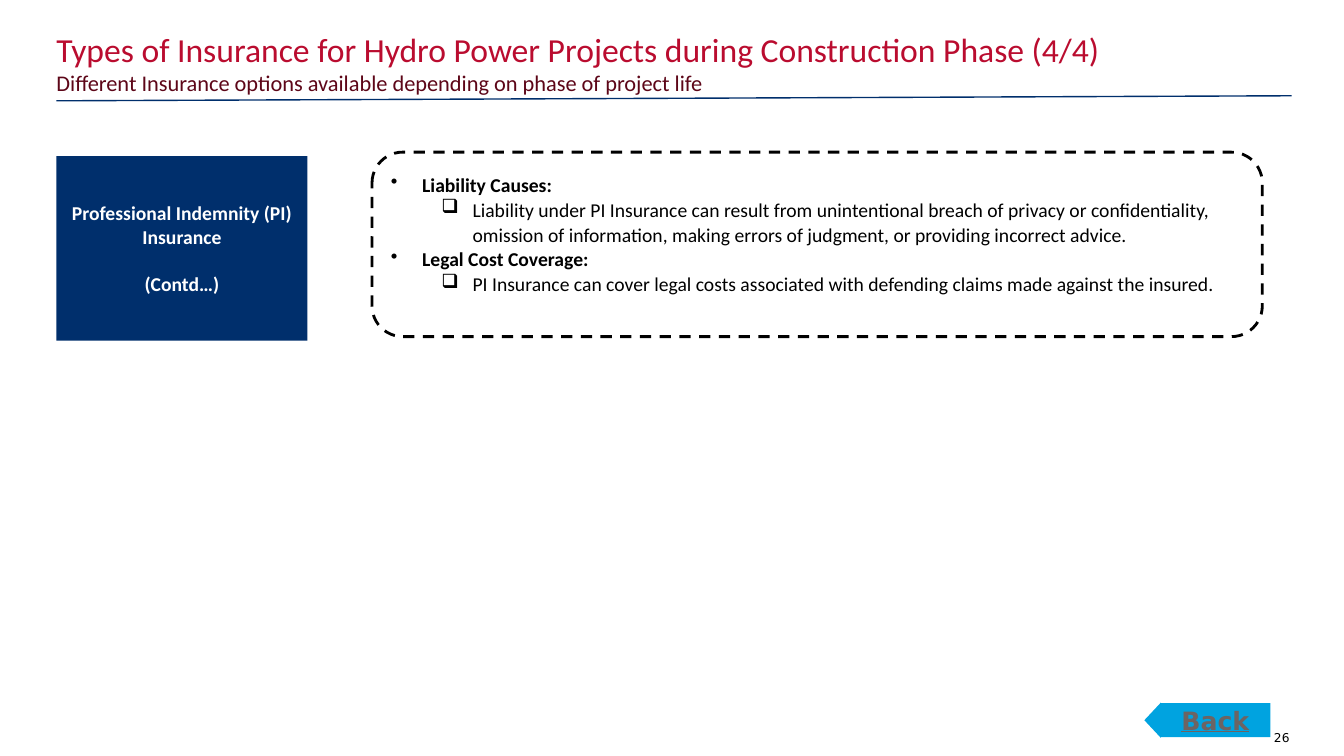
from lxml import etree
from pptx import Presentation
from pptx.dml.color import RGBColor
from pptx.enum import dml, shapes, text
from pptx.oxml import ns
from pptx.util import Inches, Pt

COLORS = {
    "navy": "002F6C", "red": "BA0C2F", "maroon": "5D0618", "sky": "00A3E0",
    "grey": "6C6463", "black": "000000", "white": "FFFFFF",
}
LEFT = 0.56
ALIGN = text.PP_ALIGN


def write(shape, lines, color, insets=(0.1, 0.1), anchor=text.MSO_ANCHOR.TOP, font="Calibri"):
    """Fill a shape with (text, font values, paragraph values, bullet level or None)."""
    frame = shape.text_frame
    frame.word_wrap = True
    frame.vertical_anchor = anchor
    frame.margin_left = frame.margin_right = Inches(insets[0])
    frame.margin_top = frame.margin_bottom = Inches(insets[1])
    for index, (words, font_format, paragraph_format, level) in enumerate(lines):
        paragraph = frame.paragraphs[0] if index == 0 else frame.add_paragraph()
        for name, value in paragraph_format.items():
            setattr(paragraph, name, value)
        if level is not None:
            paragraph.level = level
            properties = paragraph._p.get_or_add_pPr()
            properties.set("marL", str(Inches(0.31 + 0.5 * level)))
            properties.set("indent", str(Inches(-0.31)))
            etree.SubElement(properties, ns.qn("a:buChar"), char="•❑"[level])
        run = paragraph.add_run()
        run.text = words
        run.font.name = font
        run.font.color.rgb = RGBColor.from_string(COLORS[color])
        for name, value in font_format.items():
            setattr(run.font, name, value)


def add_block(kind, box, fill):
    block = slide.shapes.add_shape(kind, *map(Inches, box))
    block.shadow.inherit = False
    block.fill.solid()
    block.fill.fore_color.rgb = RGBColor.from_string(COLORS[fill])
    block.line.fill.background()
    return block


presentation = Presentation()
presentation.slide_width, presentation.slide_height = Inches(13.33), Inches(7.5)
slide = presentation.slides.add_slide(presentation.slide_layouts[6])

# Heading and page number
labels = [
    ("26", (12.45, 7.25, 0.34, 0.11), 8.7, "black", 0, "DejaVu Sans", ALIGN.RIGHT),
    ("Different Insurance options available depending on phase of project life",
     (LEFT, 0.64, 12.62, 0.31), 16, "maroon", 0.05, "Calibri", ALIGN.LEFT),
    ("Types of Insurance for Hydro Power Projects during Construction Phase (4/4)",
     (LEFT, 0.29, 12.34, 0.46), 24, "red", 0, "Calibri", ALIGN.LEFT),
]
for words, box, size, color, inset, font, alignment in labels:
    label = slide.shapes.add_textbox(*map(Inches, box))
    write(label, [(words, {"size": Pt(size)}, {"alignment": alignment}, None)],
          color, insets=(0, inset), font=font)

rule = slide.shapes.add_connector(
    shapes.MSO_CONNECTOR.STRAIGHT, Inches(LEFT), Inches(1), Inches(12.81), Inches(0.95))
rule.line.color.rgb = RGBColor.from_string(COLORS["navy"])
rule.line.width = Pt(1)
etree.SubElement(rule._element.spPr, ns.qn("a:effectLst"))

# Insurance type and its details
bold = {"size": Pt(14), "bold": True}
plain = {"size": Pt(14), "bold": False}
insurance = add_block(shapes.MSO_SHAPE.RECTANGLE, (LEFT, 1.55, 2.49, 1.83), "navy")
write(insurance, [
    ("Professional Indemnity (PI) Insurance", bold, {"alignment": ALIGN.CENTER}, None),
    ("(Contd…)", bold, {"alignment": ALIGN.CENTER, "space_before": Pt(17)}, None),
], "white", anchor=text.MSO_ANCHOR.MIDDLE)

details = add_block(shapes.MSO_SHAPE.ROUNDED_RECTANGLE, (3.69, 1.51, 8.83, 1.83), "white")
details.line.color.rgb = RGBColor.from_string(COLORS["black"])
details.line.width = Pt(2)
details.line.dash_style = dml.MSO_LINE.DASH
topics = {
    "Liability Causes:":
        "Liability under PI Insurance can result from unintentional breach of privacy or "
        "confidentiality, omission of information, making errors of judgment, or providing "
        "incorrect advice.",
    "Legal Cost Coverage:":
        "PI Insurance can cover legal costs associated with defending claims made against "
        "the insured.",
}
spacing = {"alignment": ALIGN.LEFT, "line_spacing": 1.06}
detail_lines = []
for topic, explanation in topics.items():
    detail_lines += [(topic, bold, spacing, 0), (explanation, plain, spacing, 1)]
write(details, detail_lines, "black")

# Back button
back = add_block(shapes.MSO_SHAPE.LEFT_ARROW, (11.35, 6.97, 1.25, 0.35), "sky")
back.adjustments[0], back.adjustments[1] = 0.965, 0.467
write(back, [("Back", {"size": Pt(18), "bold": True, "underline": True},
              {"alignment": ALIGN.CENTER}, None)],
      "grey", insets=(0.1, 0.05), anchor=text.MSO_ANCHOR.MIDDLE, font="DejaVu Sans")

presentation.save("out.pptx")
